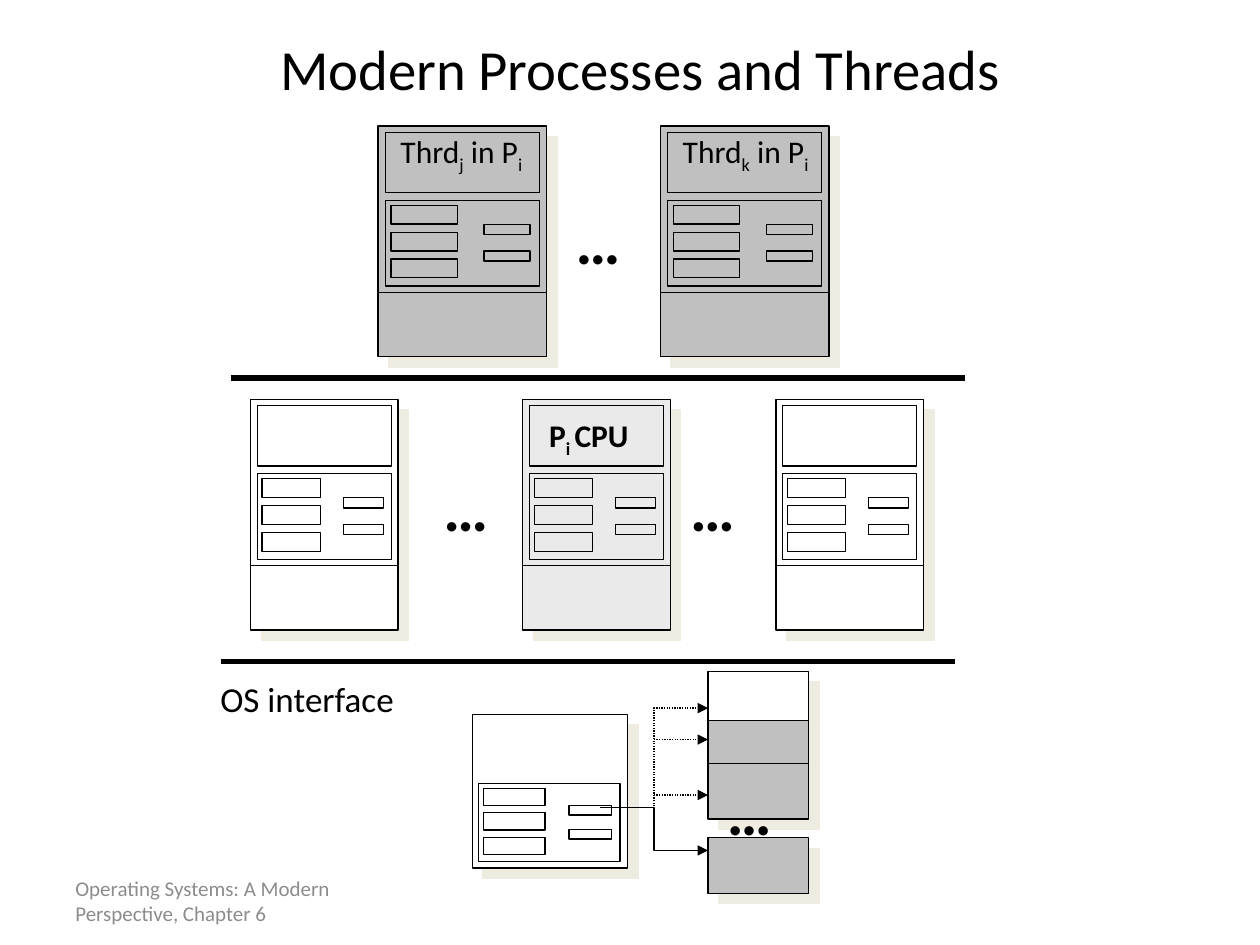
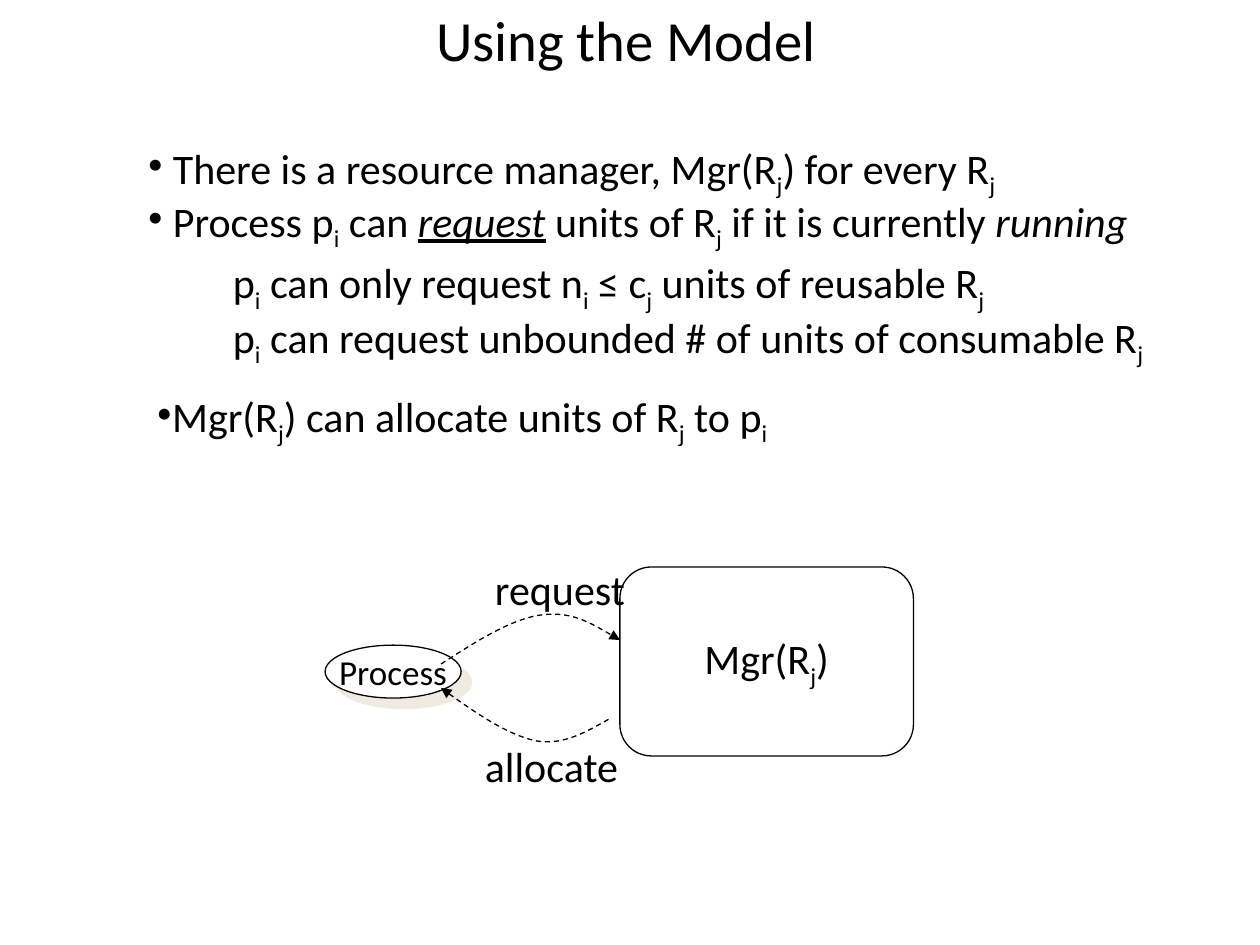
import itertools
import typing
from dataclasses import dataclass

import pptx
import pptx.dml.color
import pptx.enum.dml
import pptx.enum.shapes
import pptx.enum.text
import pptx.oxml
import pptx.oxml.ns
import pptx.util

Inches = pptx.util.Inches
SHAPES = pptx.enum.shapes.MSO_SHAPE
DASHES = pptx.enum.dml.MSO_LINE
ANCHORS = pptx.enum.text.MSO_ANCHOR
ALIGNS = pptx.enum.text.PP_ALIGN


@dataclass(frozen=True)
class Theme:
    font: str = "Calibri"
    ink: str = "000000"
    paper: str = "FFFFFF"
    running: str = "EAEAEA"
    thread: str = "C0C0C0"
    shadow: str = "EEECE1"
    footer_ink: str = "8C8C8C"
    title_size: float = 32.4
    dots_size: float = 36
    body_size: float = 24
    caption_size: float = 20
    label_size: float = 18
    footer_size: float = 12
    thin: float = 0.75
    thick: float = 3


THEME = Theme()
MARKS = {"|": ("baseline", "-25000"), "~": ("i", "1"), "*": ("u", "sng")}


class Box(typing.NamedTuple):
    left: float
    top: float
    width: float
    height: float

    def inside(self, left, top, width, height):
        return Box(self.left + left, self.top + top, width, height)

    def share(self, left, top, width, height):
        return self.inside(left * self.width, top * self.height,
                           width * self.width, height * self.height)

    def lengths(self):
        return [Inches(value) for value in self]


def color(value):
    return pptx.dml.color.RGBColor.from_string(value)


def add_xml(parent, tag, body="", attributes=""):
    namespace = pptx.oxml.ns.nsdecls("a")
    element = pptx.oxml.parse_xml(f"<a:{tag} {namespace} {attributes}>{body}</a:{tag}>")
    parent.append(element)
    return element


def set_attributes(target, values):
    for name, value in values.items():
        setattr(target, name, value)


def write(shape, text, size, ink=THEME.ink, bold=False, align=ALIGNS.LEFT,
          anchor=ANCHORS.TOP, wrap=False, bullet=False):
    set_attributes(shape.text_frame, {"word_wrap": wrap, "vertical_anchor": anchor})
    paragraph = shape.text_frame.paragraphs[0]
    paragraph.alignment = align
    if bullet:
        properties = paragraph._p.get_or_add_pPr()
        add_xml(properties, "buFontTx")
        add_xml(properties, "buChar", attributes='char="•"')
    active = set()
    for is_mark, characters in itertools.groupby(text, lambda character: character in MARKS):
        piece = "".join(characters)
        if is_mark:
            active ^= set(piece)
            continue
        run = paragraph.add_run()
        run.text = piece
        set_attributes(run.font, {"name": THEME.font, "size": pptx.util.Pt(size), "bold": bold})
        run.font.color.rgb = color(ink)
        for mark in active:
            run._r.get_or_add_rPr().set(*MARKS[mark])


def add_text(slide, box, text, size, **formats):
    shape = slide.shapes.add_textbox(*box.lengths())
    write(shape, text, size, **formats)


def add_block(slide, box, fill, kind=SHAPES.RECTANGLE, shadow=False):
    shape = slide.shapes.add_shape(kind, *box.lengths())
    shape.shadow.inherit = False
    shape.fill.solid()
    shape.fill.fore_color.rgb = color(fill)
    style_line(shape.line)
    if shadow:
        effects = shape._element.spPr.find(pptx.oxml.ns.qn("a:effectLst"))
        add_xml(effects, "outerShdw", f'<a:srgbClr val="{THEME.shadow}"/>',
                'dist="107950" dir="2700000" algn="ctr" rotWithShape="0"')
    return shape


def style_line(line, width=THEME.thin, dash=None, arrow=False):
    line.color.rgb = color(THEME.ink)
    set_attributes(line, {"width": pptx.util.Pt(width), "dash_style": dash})
    if arrow:
        add_xml(line._get_or_add_ln(), "tailEnd", attributes='type="triangle"')


def add_line(slide, start, end, **formats):
    connector = slide.shapes.add_connector(
        pptx.enum.shapes.MSO_CONNECTOR.STRAIGHT, *map(Inches, start + end))
    style_line(connector.line, **formats)
    add_xml(connector._element.spPr, "effectLst")


def add_path(slide, box, points, curved=False, dash=None):
    places = [(Inches(box.left + x), Inches(box.top + y)) for x, y in points]
    builder = slide.shapes.build_freeform(*places[0])
    builder.add_line_segments(places[1:], close=False)
    shape = builder.convert_to_shape()
    shape.shadow.inherit = False
    shape.fill.background()
    style_line(shape.line, dash=dash, arrow=True)
    if curved:
        bend_segments(shape)


def bend_segments(shape):
    segments = list(shape._element.iter(pptx.oxml.ns.qn("a:lnTo")))
    for start in range(0, len(segments), 3):
        curve = add_xml(segments[start].getparent(), "cubicBezTo")
        for segment in segments[start:start + 3]:
            curve.append(segment[0])
            segment.getparent().remove(segment)


def add_title(slide, box, text):
    add_text(slide, box, text, THEME.title_size, align=ALIGNS.CENTER,
             anchor=ANCHORS.MIDDLE, wrap=True)


def add_dots(slide, box, filled=True):
    shape = slide.shapes.add_textbox(*box.lengths())
    if filled:
        shape.fill.solid()
        shape.fill.fore_color.rgb = color(THEME.paper)
    write(shape, "…", THEME.dots_size, bold=True)


def add_registers(slide, box, fill):
    add_block(slide, box, fill)
    for row in range(3):
        add_block(slide, box.share(0.035, 0.06 + 0.3125 * row, 0.434, 0.22), fill)
    for row in range(2):
        add_block(slide, box.share(0.64, 0.28 + 0.31 * row, 0.3, 0.12), fill)


def add_abstract_machine(slide, box, fill):
    add_block(slide, box.share(0, 0, 1, 0.721), fill, shadow=True)
    add_registers(slide, box.share(0.045, 0.322, 0.91, 0.372), fill)
    add_block(slide, box.share(0.045, 0.027, 0.91, 0.262), fill)
    add_block(slide, box.share(0, 0.721, 1, 0.279), fill, shadow=True)


def add_thread_row(slide, box):
    for left, name in ((0, "j"), (2.24, "k")):
        add_abstract_machine(slide, box.inside(left, 0, 1.34, box.height), THEME.thread)
        add_text(slide, box.inside(left + 0.08, 0, 1.28, 0.4),
                 f"Thrd|{name}| in P|i", THEME.label_size)
    add_dots(slide, box.inside(1.47, 0.55, 0.7, 0.7))


def add_process_row(slide, box):
    for left in (1.43, 3.39):
        add_dots(slide, box.inside(left, 0.5, 0.7, 0.7))
    for left, fill in ((4.17, THEME.paper), (2.16, THEME.running), (0, THEME.paper)):
        add_abstract_machine(slide, box.inside(left, 0, 1.17, box.height), fill)
    add_text(slide, box.inside(2.27, 0.08, 1.08, 0.4), "P|i |CPU", THEME.label_size,
             bold=True, wrap=True)


def add_hardware(slide, box):
    memory_left, bus = 1.87, 1.44
    add_block(slide, box.inside(0, 0.34, 1.23, 1.22), THEME.paper, shadow=True)
    add_registers(slide, box.inside(0.05, 0.89, 1.12, 0.62), THEME.paper)
    for top, height, fill in ((0, 0.39, THEME.paper), (0.39, 0.34, THEME.thread),
                              (0.73, 0.44, THEME.thread), (1.32, 0.44, THEME.thread)):
        add_block(slide, box.inside(memory_left, top, 0.8, height), fill, shadow=True)
    add_path(slide, box, [(1.01, 1.08), (bus, 1.08), (bus, 1.42), (memory_left, 1.42)])
    add_path(slide, box, [(bus, 1.07), (bus, 0.29), (memory_left, 0.29)],
             dash=DASHES.ROUND_DOT)
    for top in (0.54, 0.98):
        add_line(slide, (box.left + bus, box.top + top),
                 (box.left + memory_left, box.top + top), dash=DASHES.ROUND_DOT, arrow=True)
    add_dots(slide, box.inside(1.92, 0.75, 0.7, 0.7), filled=False)


def add_statements(slide, box):
    statements = (
        (0, 0, 7.1, True, " There is a resource manager, Mgr(R|j|) for every R|j"),
        (0, 0.42, 8.15, True,
         " Process p|i| can *~request~* units of R|j| if it is currently ~running"),
        (0.67, 0.91, 6.3, False, "p|i| can only request n|i| ≤ c|j| units of reusable R|j"),
        (0.67, 1.34, 7.55, False,
         "p|i| can request unbounded # of units of consumable R|j"),
        (0.07, 1.97, 5.25, True, "Mgr(R|j|) can allocate units of R|j| to p|i"),
    )
    for left, top, width, bullet, text in statements:
        add_text(slide, box.inside(left, top, width, 0.5), text, THEME.body_size, bullet=bullet)


def add_allocation_diagram(slide, box):
    centred = {"align": ALIGNS.CENTER, "anchor": ANCHORS.MIDDLE}
    manager = add_block(slide, box.inside(2.34, 0.08, 2.33, 1.5), THEME.paper,
                        SHAPES.ROUNDED_RECTANGLE)
    write(manager, "Mgr(R|j|)", THEME.body_size, **centred)
    process = add_block(slide, box.inside(0, 0.7, 1.08, 0.42), THEME.paper,
                        SHAPES.OVAL, shadow=True)
    write(process, "Process", THEME.caption_size, **centred)
    request = [(0.92, 0.85), (1.2, 0.67), (1.48, 0.49), (1.72, 0.46),
               (1.95, 0.43), (2.14, 0.54), (2.34, 0.66)]
    allocate = [(2.25, 1.29), (2.07, 1.39), (1.89, 1.5), (1.67, 1.46),
                (1.45, 1.41), (1.18, 1.23), (0.92, 1.04)]
    for left, top, text, points in ((1.25, 0, "request", request),
                                    (1.17, 1.41, "allocate", allocate)):
        add_text(slide, box.inside(left, top, 1.35, 0.5), text, THEME.body_size)
        add_path(slide, box, points, curved=True, dash=DASHES.DASH)


def build_threads_slide(slide, box):
    add_text(slide, box.inside(0.5, 6.95, 2.33, 0.4),
             "Operating Systems: A Modern Perspective, Chapter 6", THEME.footer_size,
             ink=THEME.footer_ink, anchor=ANCHORS.MIDDLE, wrap=True)
    add_title(slide, box.inside(0.83, 0.25, 8.5, 0.58), "Modern Processes and Threads")
    for left, top in ((1.75, 5.25), (1.83, 3)):
        add_line(slide, (box.left + left, box.top + top),
                 (box.left + left + 5.83, box.top + top), width=THEME.thick)
    add_text(slide, box.inside(1.65, 5.33, 1.65, 0.43), "OS interface", THEME.caption_size)
    add_hardware(slide, box.inside(3.75, 5.33, 2.67, 1.76))
    add_process_row(slide, box.inside(1.99, 3.17, 5.34, 1.83))
    add_thread_row(slide, box.inside(3, 1, 3.58, 1.83))


def build_model_slide(slide, box):
    add_title(slide, box.inside(0.47, 0, 9, 0.62), "Using the Model")
    add_statements(slide, box.inside(1.08, 1.08, 8.22, 2.47))
    add_allocation_diagram(slide, box.inside(2.58, 4.42, 4.67, 1.92))


def main():
    presentation = pptx.Presentation()
    page = Box(0, 0, 10, 7.5)
    set_attributes(presentation, {"slide_width": Inches(page.width),
                                  "slide_height": Inches(page.height)})
    for build in (build_threads_slide, build_model_slide):
        build(presentation.slides.add_slide(presentation.slide_layouts[6]), page)
    presentation.save("out.pptx")


if __name__ == "__main__":
    main()
